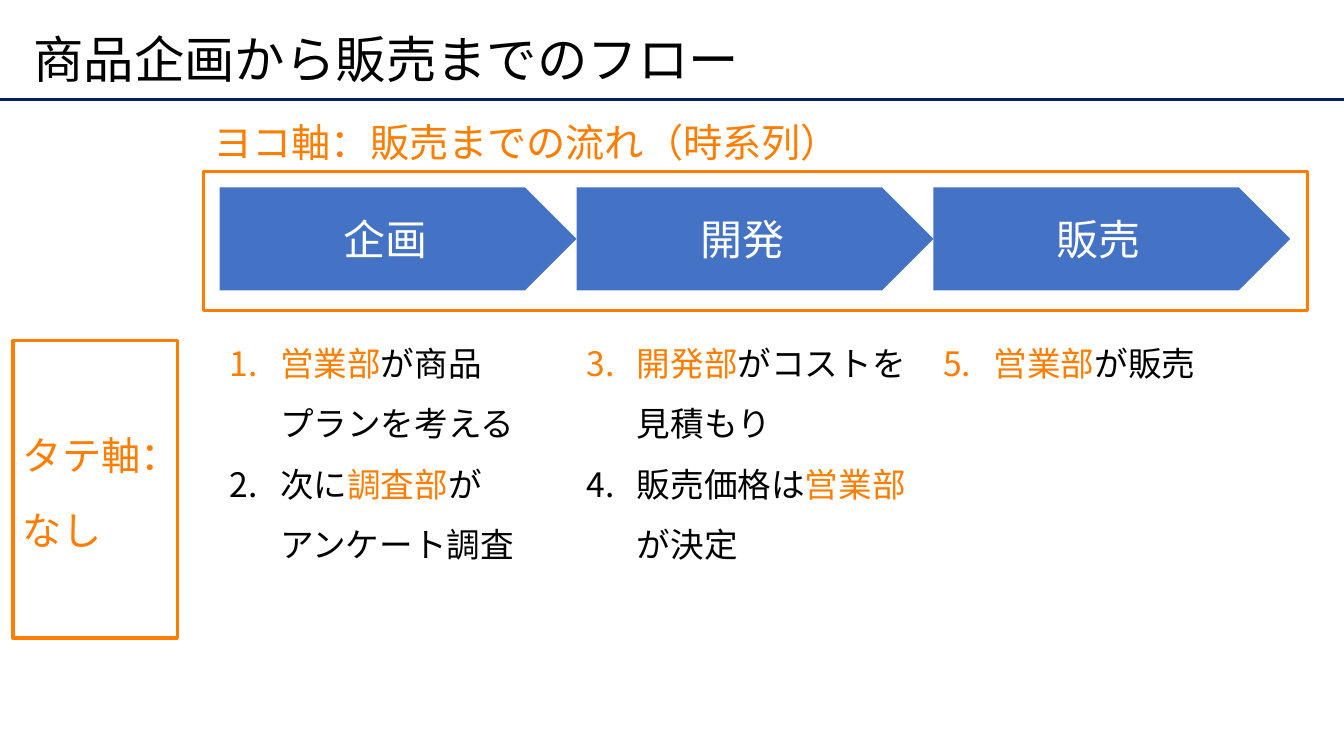
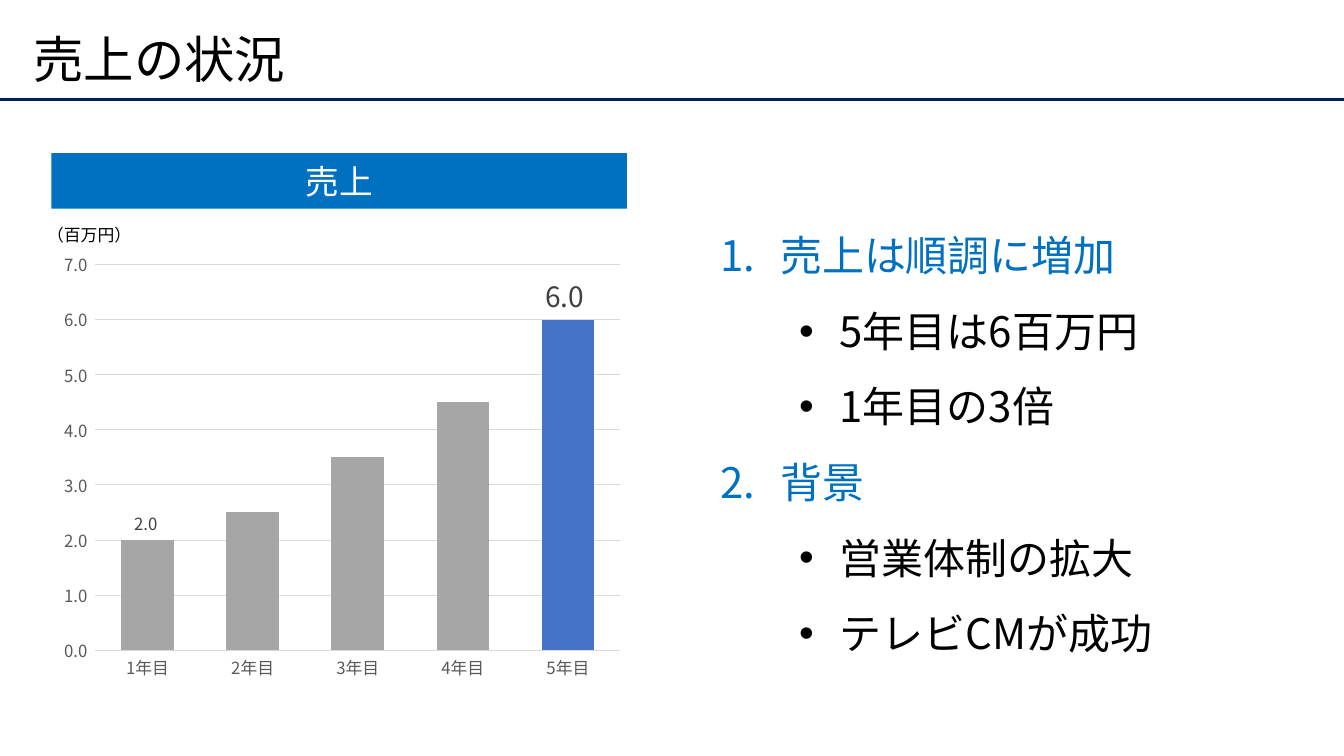
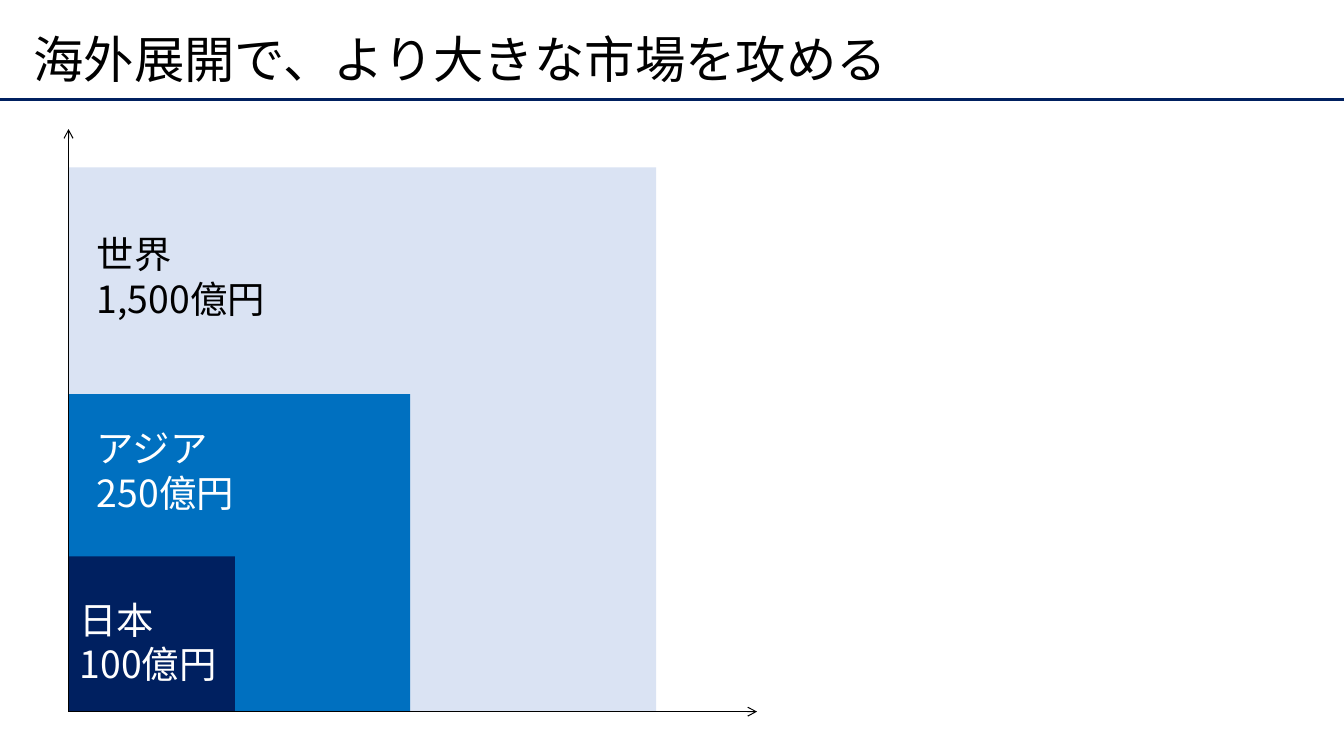
from dataclasses import dataclass

from lxml.etree import SubElement
from pptx import Presentation
from pptx.chart.data import CategoryChartData
from pptx.dml.color import RGBColor
from pptx.enum.chart import XL_CHART_TYPE as ChartType
from pptx.enum.chart import XL_LABEL_POSITION as LabelPosition
from pptx.enum.chart import XL_TICK_MARK as TickMark
from pptx.enum.shapes import MSO_CONNECTOR as Connector
from pptx.enum.shapes import MSO_SHAPE as Preset
from pptx.enum.text import MSO_ANCHOR as Anchor
from pptx.enum.text import MSO_AUTO_SIZE as AutoSize
from pptx.enum.text import PP_ALIGN as Align
from pptx.oxml.ns import qn
from pptx.util import Inches, Pt

BLACK = RGBColor(0x00, 0x00, 0x00)
WHITE = RGBColor(0xFF, 0xFF, 0xFF)
NAVY = RGBColor(0x00, 0x20, 0x60)
BLUE = RGBColor(0x00, 0x70, 0xC0)
STEEL = RGBColor(0x44, 0x72, 0xC4)
PALE = RGBColor(0xDA, 0xE3, 0xF3)
ORANGE = RGBColor(0xFF, 0x7D, 0x00)
GRAY = RGBColor(0xA6, 0xA6, 0xA6)
LIGHT_GRAY = RGBColor(0xD9, 0xD9, 0xD9)
AXIS_GRAY = RGBColor(0x59, 0x59, 0x59)
LABEL_GRAY = RGBColor(0x40, 0x40, 0x40)

FONT = "Noto Sans CJK JP"
COLUMNS, ROWS = 133.33, 75
TITLE_ONLY = 5


def grid(*cells):
    """Turn grid columns or rows, a tenth of an inch each, into lengths."""
    return [Inches(cell / 10) for cell in cells]


def set_all(target, values):
    for name, value in values.items():
        setattr(target, name, value)


def set_font(font, size, color):
    set_all(font, {"name": FONT, "size": Pt(size)})
    font.color.rgb = color


def add_east_asian_font(element):
    for latin in list(element.iter(qn("a:latin"))):
        east_asian = SubElement(latin.getparent(), qn("a:ea"), typeface=FONT)
        latin.addnext(east_asian)


@dataclass
class Item:
    """A list paragraph: a bullet, or a number when start is given."""
    spans: list
    start: int = None
    indent: float = 5
    hanging: float = 5
    level: int = 0

    def mark(self, para):
        para.level = self.level
        properties = para._p.get_or_add_pPr()
        left, hanging = grid(self.indent, self.hanging)
        properties.set("marL", str(left))
        properties.set("indent", str(-hanging))
        if self.start is None:
            SubElement(properties, qn("a:buFont"), typeface="Arial")
            SubElement(properties, qn("a:buChar"), char="•")
        else:
            SubElement(properties, qn("a:buAutoNum"), type="arabicPeriod",
                       startAt=str(self.start))


class Deck:
    def __init__(self):
        self.file = Presentation()
        self.file.slide_width, self.file.slide_height = grid(COLUMNS, ROWS)
        self.layout = self.file.slide_layouts[TITLE_ONLY]
        self.page = None

    def add_page(self, title):
        first = self.page is None
        self.page = self.file.slides.add_slide(self.layout)
        if first:
            rule = self.line((0, 9.9), (COLUMNS, 9.9), NAVY, 2.25)
            self.layout.shapes.element.append(rule.element)
        box = self.page.shapes.title
        left, top, width, height = grid(2.3, 2, 126, 8.4)
        set_all(box, {"left": left, "top": top, "width": width, "height": height})
        set_all(box.text_frame, {"auto_size": AutoSize.NONE,
                                 "vertical_anchor": Anchor.MIDDLE})
        self.fill_text(box, [title], 36, spacing=0.9)

    def fill_text(self, box, paragraphs, size, color=BLACK, spacing=None,
                  align=Align.LEFT):
        """Fill a box; a paragraph is a string or an Item of strings and (string, colour)."""
        frame = box.text_frame
        for index, content in enumerate(paragraphs):
            para = frame.add_paragraph() if index else frame.paragraphs[0]
            set_all(para, {"alignment": align, "line_spacing": spacing})
            spans = [content]
            if isinstance(content, Item):
                content.mark(para)
                spans = content.spans
            for span in spans:
                text, tint = (span, color) if isinstance(span, str) else span
                for number, line in enumerate(text.split("\n")):
                    if number:
                        para.add_line_break()
                    run = para.add_run()
                    run.text = line
                    set_font(run.font, size, tint)
        add_east_asian_font(box.element)

    def text(self, place, paragraphs, size, color=BLACK, spacing=None, **frame_format):
        box = self.page.shapes.add_textbox(*grid(*place))
        set_all(box.text_frame, {"word_wrap": True,
                                 "auto_size": AutoSize.SHAPE_TO_FIT_TEXT,
                                 **frame_format})
        self.fill_text(box, paragraphs, size, color, spacing)

    def shape(self, place, fill=None, outline=None, preset=Preset.RECTANGLE,
              label=None, size=24):
        shape = self.page.shapes.add_shape(preset, *grid(*place))
        shape.shadow.inherit = False
        if fill is None:
            shape.fill.background()
        else:
            shape.fill.solid()
            shape.fill.fore_color.rgb = fill
        if outline is None:
            shape.line.fill.background()
        else:
            shape.line.color.rgb = outline
            shape.line.width = Pt(2.25)
        if label:
            self.fill_text(shape, [label], size, WHITE, align=Align.CENTER)

    def line(self, start, end, color, width, arrow=False):
        line = self.page.shapes.add_connector(Connector.STRAIGHT, *grid(*start, *end))
        line.line.color.rgb = color
        line.line.width = Pt(width)
        properties = line.element.spPr
        if arrow:
            SubElement(properties.find(qn("a:ln")), qn("a:tailEnd"), type="arrow")
        SubElement(properties, qn("a:effectLst"))
        return line

    def column_chart(self, place, categories, values, highlight, labels):
        """Draw gray columns, one highlighted; labels maps a column to its label size."""
        data = CategoryChartData(number_format="0.0_ ")
        data.categories = categories
        data.add_series("売上", values)
        chart = self.page.shapes.add_chart(
            ChartType.COLUMN_CLUSTERED, *grid(*place), data).chart
        set_all(chart, {"has_title": False, "has_legend": False})
        set_font(chart.font, 10, BLACK)
        plot = chart.plots[0]
        set_all(plot, {"gap_width": 100, "overlap": -27, "vary_by_categories": False})

        for axis in (chart.category_axis, chart.value_axis):
            set_all(axis, {"major_tick_mark": TickMark.NONE,
                           "minor_tick_mark": TickMark.NONE})
            set_font(axis.tick_labels.font, 12, AXIS_GRAY)
        axis = chart.value_axis
        set_all(axis, {"minimum_scale": 0, "maximum_scale": 7, "major_unit": 1,
                       "has_major_gridlines": True})
        set_all(axis.tick_labels, {"number_format": "0.0_ ",
                                   "number_format_is_linked": False})
        axis.format.line.fill.background()
        for part in (chart.category_axis, axis.major_gridlines):
            part.format.line.color.rgb = LIGHT_GRAY
            part.format.line.width = Pt(0.75)

        series = plot.series[0]
        series.data_labels.show_value = False
        for target, color in ((series, GRAY), (series.points[highlight], STEEL)):
            target.format.fill.solid()
            target.format.fill.fore_color.rgb = color
        for index, size in labels.items():
            label = series.points[index].data_label
            set_font(label.font, size, LABEL_GRAY)
            label.position = LabelPosition.OUTSIDE_END
        add_east_asian_font(chart.element)


def build_flow(deck):
    deck.add_page("商品企画から販売までのフロー")
    sales = ("営業部", ORANGE)
    stages = [
        ("企画", 34, [Item([sales, "が商品\nプランを考える"], 1),
                    Item(["次に", ("調査部", ORANGE), "が\nアンケート調査"], 1)]),
        ("開発", 33.9, [Item([("開発部", ORANGE), "がコストを見積もり"], 3),
                      Item(["販売価格は", sales, "が決定"], 3)]),
        ("販売", 35.8, [Item([sales, "が販売"], 5)]),
    ]
    step = 35.4
    for index, (name, width, items) in enumerate(stages):
        left = 21.8 + index * step
        deck.shape((left, 18.6, step, 10.2), STEEL, preset=Preset.PENTAGON,
                   label=name, size=30)
        deck.text((left, 31.5, width, 6.5), items, 24, spacing=1.5)
    for frame in ((20.2, 17, 109.5, 13.8), (1.3, 33.8, 16.3, 29.5)):
        deck.shape(frame, outline=ORANGE)
    axis_format = {"auto_size": AutoSize.NONE, "vertical_anchor": Anchor.MIDDLE}
    deck.text((20.2, 10.2, 70.7, 8.4), ["ヨコ軸：販売までの流れ（時系列）"],
              28, ORANGE, 0.9, **axis_format)
    deck.text((1.3, 40.7, 18.6, 13.5), ["タテ軸：", "なし"],
              28, ORANGE, 1.6, **axis_format)


def build_sales(deck):
    deck.add_page("売上の状況")
    deck.column_chart((5.2, 24.1, 57.5, 44.2), [f"{year}年目" for year in range(1, 6)],
                      (2, 2.5, 3.5, 4.5, 6), highlight=4, labels={0: 12, 4: 20})
    deck.shape((5.1, 15.2, 57.1, 5.5), BLUE, label="売上")
    deck.text((3.7, 21.8, 10.4, 3), ["（百万円）"], 12, word_wrap=False)
    points = {"売上は順調に増加": ("5年目は6百万円", "1年目の3倍"),
              "背景": ("営業体制の拡大", "テレビCMが成功")}
    items = []
    for heading, details in points.items():
        items.append(Item([(heading, BLUE)], 1, 5.9, 5.9))
        items += [Item([detail], None, 11.8, 4, 1) for detail in details]
    deck.text((70.5, 19.8, 54.3, 45.7), items, 30, spacing=1.5)


def build_market(deck):
    deck.add_page("海外展開で、より大きな市場を攻める")
    left, bottom = 6.8, 70.6
    side, inset = grid(1.1, 0.6)
    insets = {"margin_left": side, "margin_right": side,
              "margin_top": inset, "margin_bottom": inset}
    markets = [
        ("世界", "1,500億円", 58.3, 54, PALE, BLACK, 8.5, 22.3),
        ("アジア", "250億円", 33.9, 31.5, BLUE, WHITE, 8.5, 41.6),
        ("日本", "100億円", 16.5, 15.4, NAVY, WHITE, left, 58.6),
    ]
    for name, amount, width, height, fill, color, text_left, text_top in markets:
        deck.shape((left, bottom - height, width, height), fill)
        deck.text((text_left, text_top, 19.6, 10.1), [name, amount], 26.7, color, **insets)
    for tip in ((left, 12.8), (75.1, bottom)):
        deck.line((left, bottom), tip, BLACK, 0.75, arrow=True)


def main():
    deck = Deck()
    for build in (build_flow, build_sales, build_market):
        build(deck)
    deck.file.save("out.pptx")


if __name__ == "__main__":
    main()
